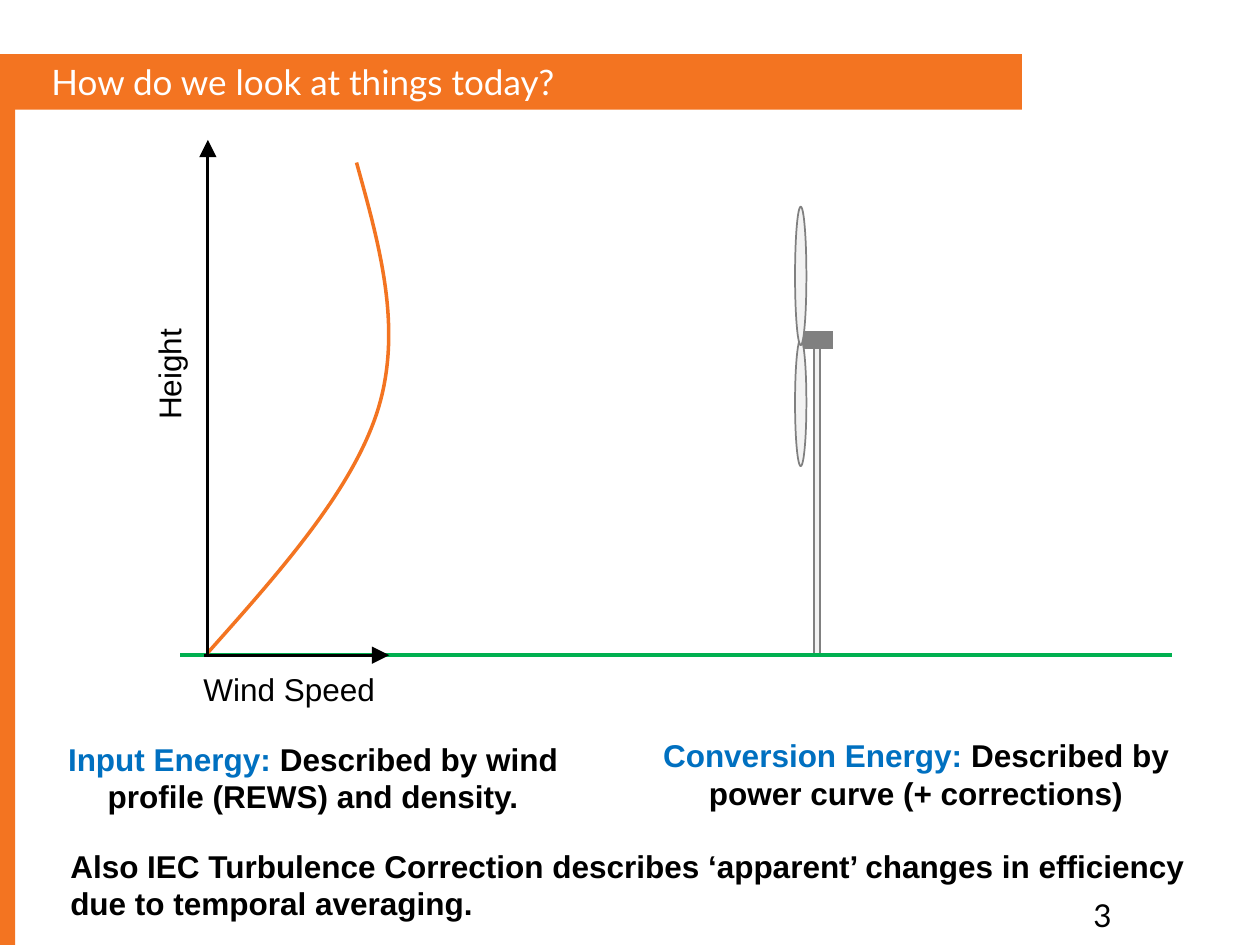
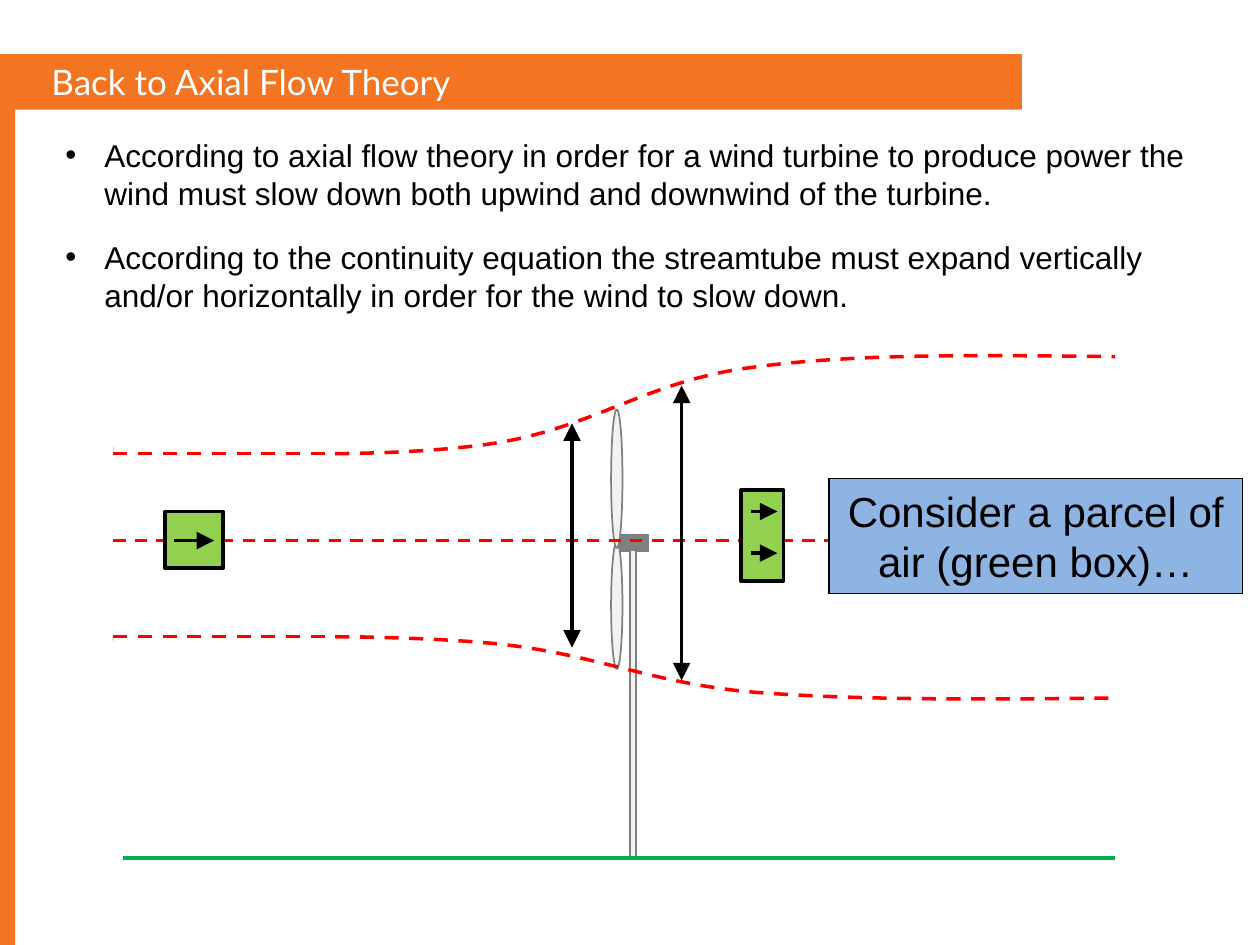
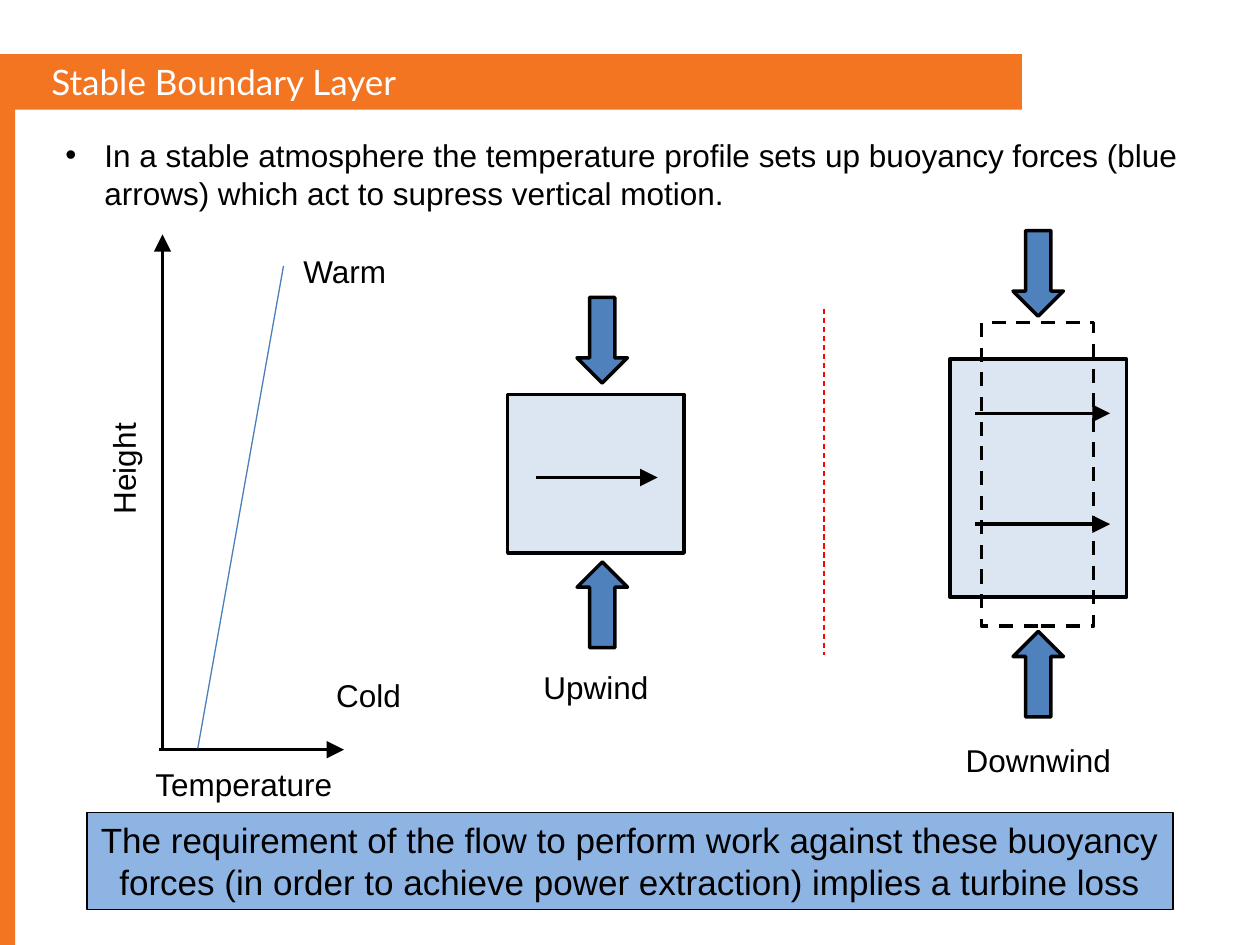
"""Builds three slides on wind profiles, axial flow and the stable boundary layer."""
import lxml.etree
import pptx
import pptx.dml.color
import pptx.enum.dml
import pptx.enum.shapes
import pptx.enum.text
import pptx.oxml.ns
import pptx.util

ORANGE, GREEN, RED, BLUE = "F37421", "00B050", "FF0000", "0070C0"
BLACK, WHITE, GREY, PALE_GREY = "000000", "FFFFFF", "808080", "F2F2F2"
CALLOUT, PARCEL, PALE_BLUE, ARROW_BLUE = "8EB4E3", "92D050", "DCE6F2", "4F81BD"

PROFILE = [(1.65, 5.18), (2.22, 4.54), (2.8, 3.89), (3, 3.25),
           (3.2, 2.6), (3.01, 1.94), (2.83, 1.29)]
TUBE_TOP = [(0.9, 3.56), (1.95, 3.6), (3, 3.64), (3.84, 3.53), (4.68, 3.42),
            (5.11, 3.03), (5.94, 2.92), (6.78, 2.8), (7.82, 2.82), (8.85, 2.83)]
TUBE_BOTTOM = [(0.9, 5.08), (1.95, 5.05), (3, 5.03), (3.84, 5.1), (4.68, 5.17),
               (5.11, 5.41), (5.94, 5.49), (6.78, 5.56), (7.82, 5.55), (8.85, 5.54)]

SLIDES = [
    ("How do we look at things today?", [
        ("text", (8.58, 7.06, 1.03, 0.34), "3", {"font": "Lato"}),
        ("turbine", 6.36, 2.7),
        ("line", (1.43, 5.2), (9.3, 5.2), {"color": GREEN}),
        ("curve", (1.65, 1.29, 1.44, 3.89), PROFILE, {"color": ORANGE}),
        ("axes", 1.65, 5.19, 1.44, "Wind Speed"),
        ("text", (0.37, 5.82, 4.23, 0.71),
         [("Input Energy: ", BLUE), ("Described by wind profile (REWS) and density.", BLACK)],
         {"align": "CENTER", "bold": True}),
        ("text", (4.87, 5.79, 4.8, 0.71),
         [("Conversion Energy: ", BLUE), ("Described by power curve (+ corrections)", BLACK)],
         {"align": "CENTER", "bold": True}),
        ("text", (0.46, 6.67, 9.54, 0.71),
         "Also IEC Turbulence Correction describes ‘apparent’ changes in efficiency "
         "due to temporal averaging.", {"bold": True}),
    ]),
    ("Back to Axial Flow Theory", [
        ("turbine", 4.9, 4.31),
        ("line", (0.98, 6.81), (8.85, 6.81), {"color": GREEN}),
        ("streamline", (0.9, 2.82, 7.95, 0.78), TUBE_TOP, (0.9, 3.06, 1.73, 1), 3.6),
        ("streamline", (0.9, 5.05, 7.95, 0.49), TUBE_BOTTOM, (0.9, 4.77, 1.73, 0.63), 5.05),
        ("line", (0.9, 4.29), (8.78, 4.29), {"color": RED, "width": 1.75, "dash": True}),
        ("text", (0.42, 1.03, 9.14, 0.71),
         "According to axial flow theory in order for a wind turbine to produce power the "
         "wind must slow down both upwind and downwind of the turbine.", {"bullet": True}),
        ("text", (0.42, 1.84, 9.45, 0.71),
         "According to the continuity equation the streamtube must expand vertically and/or "
         "horizontally in order for the wind to slow down.", {"bullet": True}),
        ("line", (4.54, 3.36), (4.54, 5.14), {"ends": ("head", "tail")}),
        ("line", (5.41, 3.06), (5.41, 5.4), {"ends": ("head", "tail")}),
        ("callout", (6.58, 3.8, 3.28, 0.91), "Consider a parcel of air (green box)…", 24),
        ("parcel", (1.31, 4.06, 0.46, 0.45), PARCEL, 1.38, 1.7, [4.29]),
        ("parcel", (5.88, 3.89, 0.34, 0.72), PARCEL, 5.96, 6.17, [4.06, 4.39]),
    ]),
    ("Stable Boundary Layer", [
        ("text", (0.42, 1.03, 9.14, 0.71),
         "In a stable atmosphere the temperature profile sets up buoyancy forces (blue arrows) "
         "which act to supress vertical motion.", {"bullet": True}),
        ("axes", 1.29, 5.94, 1.44, "Temperature"),
        ("line", (1.57, 5.94), (2.25, 2.11), {"color": "4B7EBC", "width": 0.75}),
        ("text", (2.31, 1.95, 0.91, 0.4), "Warm", {}),
        ("text", (2.47, 5.32, 0.91, 0.4), "Cold", {"align": "CENTER"}),
        ("parcel", (4.03, 3.13, 1.4, 1.26), PALE_BLUE, 4.25, 5.22, [3.79]),
        ("parcel", (7.54, 2.85, 1.4, 1.89), PALE_BLUE, 7.74, 8.81, [3.28, 4.16]),
        ("text", (4.03, 5.25, 1.4, 0.4), "Upwind", {"align": "CENTER"}),
        ("text", (7.54, 5.83, 1.4, 0.4), "Downwind", {"align": "CENTER"}),
        ("line", (6.54, 2.45), (6.54, 5.2), {"color": RED, "width": 0.75, "dash": True}),
        ("buoyancy", 4.58, 2.36, 4.46),
        ("buoyancy", 8.04, 1.83, 5.01),
        ("shape", "RECTANGLE", (7.79, 2.56, 0.89, 2.41), None, {"dash": True}),
        ("callout", (0.69, 6.45, 8.62, 0.77),
         "The requirement of the flow to perform work against these buoyancy forces "
         "(in order to achieve power extraction) implies a turbine loss", 20),
    ]),
]


def rgb(value):
    return pptx.dml.color.RGBColor.from_string(value)


def inches(values):
    return [pptx.util.Inches(v) for v in values]


def add_element(parent, tag, **values):
    return lxml.etree.SubElement(parent, pptx.oxml.ns.qn(tag), **values)


def style_line(sp, color=BLACK, width=2, dash=False, ends=()):
    sp.line.color.rgb = rgb(color)
    sp.line.width = pptx.util.Pt(width)
    if dash:
        sp.line.dash_style = pptx.enum.dml.MSO_LINE.DASH
    ln = sp._element.spPr.find(pptx.oxml.ns.qn("a:ln"))
    for end in ends:
        add_element(ln, f"a:{end}End", type="triangle", w="lg", len="lg")


def add_line(s, start, end, style):
    c = s.shapes.add_connector(pptx.enum.shapes.MSO_CONNECTOR.STRAIGHT, *inches(start + end))
    style_line(c, **style)
    add_element(c._element.spPr, "a:effectLst")


def add_shape(s, kind, box, fill=None, outline=None):
    sp = s.shapes.add_shape(getattr(pptx.enum.shapes.MSO_SHAPE, kind), *inches(box))
    sp.shadow.inherit = False
    if fill:
        sp.fill.solid()
        sp.fill.fore_color.rgb = rgb(fill)
    else:
        sp.fill.background()
    if outline is None:
        sp.line.fill.background()
    else:
        style_line(sp, **outline)
    return sp


def add_curve(s, box, nodes, style):
    left, top, width, height = box
    builder = s.shapes.build_freeform(*inches((left, top)), scale=1.0)
    builder.add_line_segments([inches((left + width, top + height))], close=False)
    sp = builder.convert_to_shape()
    outline = sp._element.spPr.find(".//" + pptx.oxml.ns.qn("a:path"))
    for child in list(outline):
        outline.remove(child)
    steps = [("a:moveTo", nodes[:1])]
    steps += [("a:cubicBezTo", nodes[i:i + 3]) for i in range(1, len(nodes), 3)]
    for tag, points in steps:
        step = add_element(outline, tag)
        for x, y in points:
            dx, dy = inches((x - left, y - top))
            add_element(step, "a:pt", x=str(dx), y=str(dy))
    sp.shadow.inherit = False
    sp.fill.background()
    style_line(sp, **style)


def write(sp, content, size=18, font="Arial", color=BLACK, bold=False, align="LEFT",
          bullet=False, anchor="TOP", grow=True):
    tf = sp.text_frame
    tf.word_wrap = True
    tf.vertical_anchor = getattr(pptx.enum.text.MSO_ANCHOR, anchor)
    if grow:
        tf.auto_size = pptx.enum.text.MSO_AUTO_SIZE.SHAPE_TO_FIT_TEXT
    p = tf.paragraphs[0]
    p.alignment = getattr(pptx.enum.text.PP_ALIGN, align)
    if bullet:
        pPr = p._p.get_or_add_pPr()
        indent = pptx.util.Inches(0.31)
        pPr.set("marL", str(indent))
        pPr.set("indent", str(-indent))
        add_element(pPr, "a:buFont", typeface="Arial")
        add_element(pPr, "a:buChar", char="•")
    runs = [(content, color)] if isinstance(content, str) else content
    for words, run_color in runs:
        r = p.add_run()
        r.text = words
        for name, value in {"name": font, "size": pptx.util.Pt(size), "bold": bold}.items():
            setattr(r.font, name, value)
        r.font.color.rgb = rgb(run_color)


def add_text(s, box, content, style):
    sp = s.shapes.add_textbox(*inches(box))
    write(sp, content, **style)
    return sp


def add_callout(s, box, content, size):
    sp = add_shape(s, "RECTANGLE", box, CALLOUT, {"width": 0.75})
    write(sp, content, size=size, align="CENTER", anchor="TOP")


def add_turbine(s, x, y):
    group = s.shapes.add_group_shape()
    edge = {"color": GREY, "width": 1}
    add_line(group, (x + 0.25, y), (x, y), {"color": GREY, "width": 10})
    for kind, dx, dy, w, h in [("OVAL", -0.05, -0.01, 0.09, 1.01),
                               ("RECTANGLE", 0.1, 0.06, 0.05, 2.44),
                               ("OVAL", -0.05, -1.06, 0.09, 1.1)]:
        add_shape(group, kind, (x + dx, y + dy, w, h), PALE_GREY, edge)


def add_axes(s, x, y, length, label):
    style = {"width": 1.75, "ends": ("tail",)}
    add_line(s, (x, y), (x, y - 4.08), style)
    add_line(s, (x - 0.03, y + 0.01), (x + length, y + 0.01), style)
    height = add_text(s, (x - 1.05, y - 2.42, 1.48, 0.4), "Height", {"align": "CENTER"})
    height.rotation = 270
    add_text(s, (x - 0.51, y + 0.08, 2.31, 0.4), label, {"align": "CENTER"})


def add_streamline(s, box, nodes, cover, y):
    group = s.shapes.add_group_shape()
    style = {"color": RED, "dash": True}
    add_curve(group, box, nodes, style)
    add_shape(group, "RECTANGLE", cover, WHITE)
    add_line(group, (0.9, y), (2.9, y), style)


def add_parcel(s, box, fill, left, right, levels):
    group = s.shapes.add_group_shape()
    add_shape(group, "RECTANGLE", box, fill, {})
    for y in levels:
        add_line(group, (left, y), (right, y), {"ends": ("tail",)})


def add_buoyancy(s, x, upper, lower):
    for y, rotation in ((upper, 0), (lower, 180)):
        sp = add_shape(s, "DOWN_ARROW", (x, y, 0.4, 0.68), ARROW_BLUE, {})
        sp.rotation = rotation


DRAW = {"text": add_text, "line": add_line, "curve": add_curve, "shape": add_shape,
        "callout": add_callout, "turbine": add_turbine, "axes": add_axes,
        "streamline": add_streamline, "parcel": add_parcel, "buoyancy": add_buoyancy}


def add_frame(s, title):
    for band in ((0, 0.43, 8.11, 0.44), (0, 0.8, 0.12, 6.7)):
        add_shape(s, "RECTANGLE", band, ORANGE)
    add_text(s, (0.31, 0.47, 6.05, 0.35), title,
             {"size": 20, "font": "Lato", "color": WHITE, "anchor": "MIDDLE", "grow": False})


def main():
    prs = pptx.Presentation()
    prs.slide_width, prs.slide_height = inches((10, 7.5))
    for title, parts in SLIDES:
        s = prs.slides.add_slide(prs.slide_layouts[6])
        add_frame(s, title)
        for kind, *args in parts:
            DRAW[kind](s, *args)
    prs.save("out.pptx")


if __name__ == "__main__":
    main()
